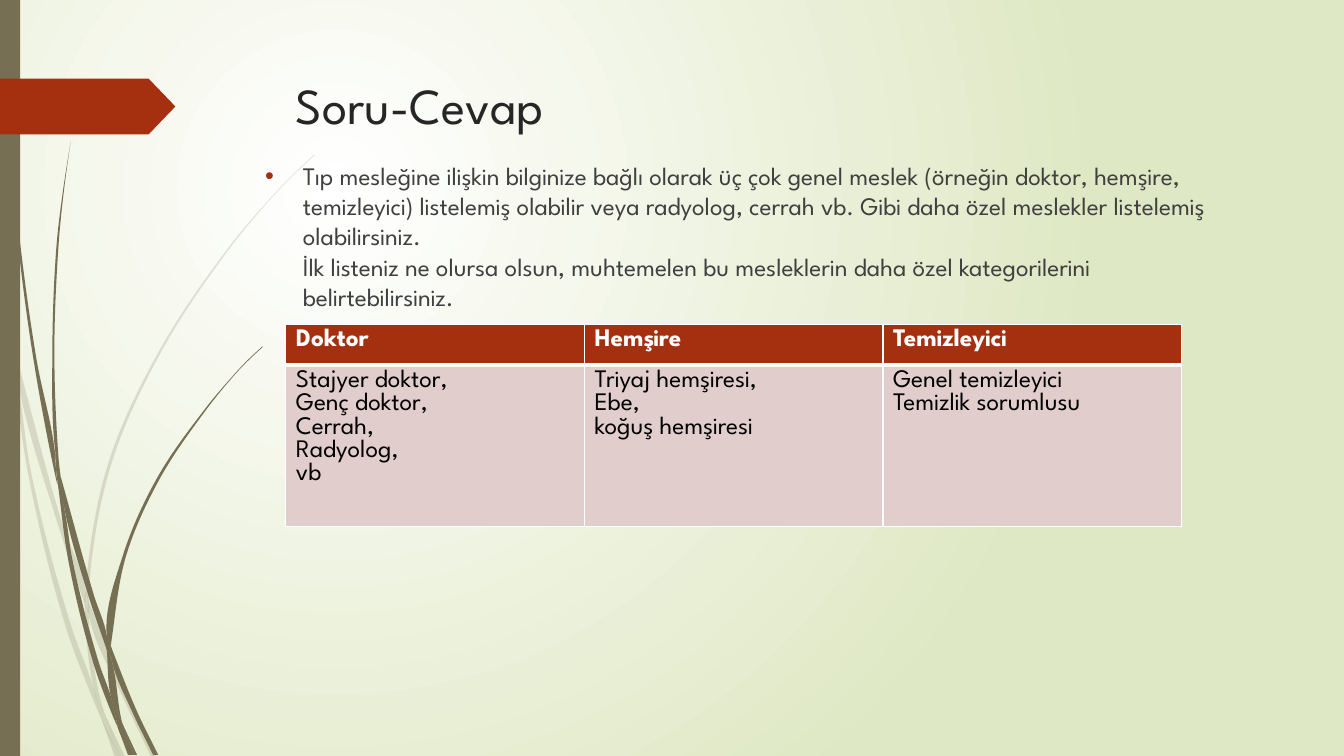
from math import dist

from lxml import etree
from pptx import Presentation
from pptx.dml.color import RGBColor
from pptx.enum.lang import MSO_LANGUAGE_ID
from pptx.enum.shapes import MSO_SHAPE
from pptx.enum.text import MSO_ANCHOR, MSO_AUTO_SIZE, PP_ALIGN
from pptx.oxml.ns import qn
from pptx.util import Pt

RECTANGLE, PENTAGON = MSO_SHAPE.RECTANGLE, MSO_SHAPE.PENTAGON
TOP, LEFT, NO_AUTOFIT = MSO_ANCHOR.TOP, PP_ALIGN.LEFT, MSO_AUTO_SIZE.NONE
TURKISH = MSO_LANGUAGE_ID.TURKISH

FONT = "League Spartan"
OLIVE, RUST, PINK, WHITE, BLACK = "766F54", "A53010", "E1CDCC", "FFFFFF", "000000"
SLIDE_WIDTH, SLIDE_HEIGHT = 960, 540

TITLE = "Soru-Cevap"
BODY = [
    "Tıp mesleğine ilişkin bilginize bağlı olarak üç çok genel meslek (örneğin doktor, hemşire, "
    "temizleyici) listelemiş olabilir veya radyolog, cerrah vb. Gibi daha özel meslekler listelemiş "
    "olabilirsiniz.",
    "İlk listeniz ne olursa olsun, muhtemelen bu mesleklerin daha özel kategorilerini belirtebilirsiniz.",
]
JOBS = {
    "Doktor": ["Stajyer doktor,", "Genç doktor,", "Cerrah,", "Radyolog,", "vb"],
    "Hemşire": ["Triyaj hemşiresi,", "Ebe,", "koğuş hemşiresi"],
    "Temizleyici": ["Genel temizleyici", "Temizlik sorumlusu"],
}
TABLE_LEFT, TABLE_TOP, COLUMN_WIDTH = 204.2, 231.5, 213.3
ROW_HEIGHTS = [29.2, 29.2]

# Corner and curve points of the grass, in steps of GRASS_UNIT points.
GRASS_UNIT = 0.72
PALE_GRASS = [
    [(11, 350), (9, 322), (0, 282), (0, 299), (10, 344)],
    [(58, 522), (84, 599), (85, 586), (62, 520), (14, 345), (17, 376)],
    [(92, 607), (88, 596), (88, 610), (123, 694), (150, 751), (155, 751), (127, 692)],
    [(119, 751), (124, 751), (105, 711)],
    [(93, 683), (70, 619), (31, 469), (17, 376), (11, 350), (28, 470), (65, 621), (92, 693),
     (101, 714), (99, 707)],
    [(84, 599), (87, 646), (93, 683), (96, 692), (105, 711), (103, 706), (91, 646), (88, 610), (88, 608)],
    [(88, 584), (110, 462), (160, 349), (229, 245), (268, 198), (290, 175), (312, 154), (312, 153),
     (289, 175), (268, 197), (228, 244), (158, 348), (107, 461), (85, 584), (85, 586), (88, 596)],
    [(101, 714), (114, 751), (119, 751)],
    [(88, 608), (88, 610), (88, 596), (85, 586), (84, 599)],
    [(96, 692), (93, 683), (99, 707), (101, 714), (119, 751), (105, 711)],
]
DARK_GRASS = [
    [(7, 110), (17, 233), (33, 355), (56, 477), (57, 481), (55, 457), (55, 453), (36, 355), (19, 232),
     (8, 109), (5, 48), (4, 0), (3, 0), (4, 48)],
    [(88, 592), (106, 645), (106, 633), (106, 631), (93, 590), (60, 472), (64, 505)],
    [(113, 649), (110, 641), (111, 656), (132, 708), (152, 749), (157, 749), (136, 706)],
    [(110, 691), (98, 657), (72, 556), (64, 505), (57, 477), (68, 557), (93, 659), (111, 708),
     (117, 722), (116, 717)],
    [(60, 472), (58, 453), (54, 349), (58, 245), (63, 193), (70, 141), (62, 193), (56, 245), (52, 349),
     (55, 449)],
    [(133, 749), (136, 749), (122, 719)],
    [(57, 477), (64, 505), (60, 472), (55, 449), (55, 453)],
    [(111, 633), (125, 552), (158, 476), (205, 406), (231, 374), (245, 359), (261, 344), (260, 344),
     (245, 358), (231, 373), (204, 405), (156, 474), (122, 551), (106, 631), (110, 641)],
    [(117, 722), (127, 749), (131, 749)],
    [(106, 645), (110, 691), (116, 706), (122, 719), (121, 716), (111, 656), (109, 651)],
    [(106, 645), (109, 651), (111, 656), (110, 641), (106, 631), (106, 633)],
    [(116, 706), (110, 691), (116, 717), (117, 722), (130, 749), (133, 749), (122, 719)],
]


def color(hex_string):
    return RGBColor.from_string(hex_string)


def paint(shape, hex_string, opacity=100):
    shape.shadow.inherit = False
    shape.fill.solid()
    shape.fill.fore_color.rgb = color(hex_string)
    shape.line.fill.background()
    if opacity < 100:
        tone = shape.fill._xPr.find(".//" + qn("a:srgbClr"))
        etree.SubElement(tone, qn("a:alpha"), val=str(opacity * 1000))


def tangent(before, point, after):
    """Return the unit direction of the curve at a point, or None at a sharp corner."""
    arriving = [(b - a) / dist(before, point) for a, b in zip(before, point)]
    leaving = [(b - a) / dist(point, after) for a, b in zip(point, after)]
    if arriving[0] * leaving[0] + arriving[1] * leaving[1] < 0.8:
        return None
    total = [a + b for a, b in zip(arriving, leaving)]
    return [part / dist((0, 0), total) for part in total]


def handle(start, end, direction, sign):
    """Return a Bézier handle a third of the segment away from its start."""
    reach = dist(start, end) / 3
    if direction is None:
        return tuple(a + (b - a) / 3 for a, b in zip(start, end))
    return tuple(a + sign * reach * part for a, part in zip(start, direction))


def draw_grass(slide, points, opacity):
    count = len(points)
    tangents = [tangent(points[i - 1], points[i], points[(i + 1) % count]) for i in range(count)]
    outline = [points[0]]
    for i, start in enumerate(points):
        j = (i + 1) % count
        end = points[j]
        outline += [handle(start, end, tangents[i], 1), handle(end, start, tangents[j], -1), end]
    unit = Pt(GRASS_UNIT)
    outline = [(round(x * unit), round(y * unit)) for x, y in outline]
    builder = slide.shapes.build_freeform(*outline[0], scale=1.0)
    builder.add_line_segments(outline[1:], close=True)
    shape = builder.convert_to_shape()
    segments = list(shape._element.iter(qn("a:lnTo")))
    for first in range(0, len(segments) - 2, 3):
        curve = etree.Element(qn("a:cubicBezTo"))
        segments[first].addprevious(curve)
        for segment in segments[first:first + 3]:
            curve.append(segment[0])
            segment.getparent().remove(segment)
    paint(shape, OLIVE, opacity)


def place(shape, left, top, width, height):
    shape.left, shape.top, shape.width, shape.height = map(Pt, (left, top, width, height))


def write(frame, lines, size, hex_string, bold=False):
    """Write the lines as one paragraph with line breaks."""
    frame.word_wrap = True
    paragraph = frame.paragraphs[0]
    paragraph.alignment = LEFT
    for number, line in enumerate(lines):
        if number:
            paragraph.add_line_break()
        run = paragraph.add_run()
        run.text = line
        font = run.font
        font.name, font.size, font.bold, font.language_id = FONT, Pt(size), bold, TURKISH
        font.color.rgb = color(hex_string)
    for line_break in paragraph._p.findall(qn("a:br")):
        properties = etree.SubElement(line_break, qn("a:rPr"), lang="tr-TR", sz=str(size * 100))
        etree.SubElement(properties, qn("a:latin"), typeface=FONT)
    return paragraph


def add_bullet(paragraph, indent):
    properties = paragraph._p.get_or_add_pPr()
    properties.set("marL", str(Pt(indent)))
    properties.set("indent", str(-Pt(indent)))
    bullet_color = etree.SubElement(properties, qn("a:buClr"))
    etree.SubElement(bullet_color, qn("a:srgbClr"), val=RUST)
    etree.SubElement(properties, qn("a:buFont"), typeface="Arial")
    etree.SubElement(properties, qn("a:buChar"), char="•")


def style_cell(cell, fill, bottom_width):
    properties = cell._tc.get_or_add_tcPr()
    for side, width in (("L", 1), ("R", 1), ("T", 1), ("B", bottom_width)):
        border = etree.SubElement(properties, qn("a:ln" + side), w=str(Pt(width)))
        border_fill = etree.SubElement(border, qn("a:solidFill"))
        etree.SubElement(border_fill, qn("a:srgbClr"), val=WHITE)
    cell.fill.solid()
    cell.fill.fore_color.rgb = color(fill)


def set_background(slide):
    fill = slide.background.fill
    fill.gradient()
    for stop, tone in zip(fill.gradient_stops, (WHITE, "DFE8C4")):
        stop.color.rgb = color(tone)
    gradient = slide.element.find(".//" + qn("a:gradFill"))
    gradient.remove(gradient.find(qn("a:lin")))
    circle = etree.SubElement(gradient, qn("a:path"), path="circle")
    etree.SubElement(circle, qn("a:fillToRect"), l="50000", t="50000", r="100000", b="100000")


def add_jobs_table(slide):
    table = slide.shapes.add_table(
        2, len(JOBS), Pt(TABLE_LEFT), Pt(TABLE_TOP),
        Pt(COLUMN_WIDTH * len(JOBS)), Pt(sum(ROW_HEIGHTS))).table
    table.horz_banding = False
    for row, height in zip(table.rows, ROW_HEIGHTS):
        row.height = Pt(height)
    for index, (job, kinds) in enumerate(JOBS.items()):
        table.columns[index].width = Pt(COLUMN_WIDTH)
        header, details = table.cell(0, index), table.cell(1, index)
        write(header.text_frame, [job], 18, WHITE, bold=True)
        write(details.text_frame, kinds, 18, BLACK)
        style_cell(header, RUST, 3)
        style_cell(details, PINK, 1)


def main():
    presentation = Presentation()
    presentation.slide_width, presentation.slide_height = Pt(SLIDE_WIDTH), Pt(SLIDE_HEIGHT)
    slide = presentation.slides.add_slide(presentation.slide_layouts[5])
    set_background(slide)
    for grass, opacity in ((PALE_GRASS, 20), (DARK_GRASS, 100)):
        for points in grass:
            draw_grass(slide, points, opacity)
    paint(slide.shapes.add_shape(RECTANGLE, 0, 0, Pt(14.4), Pt(SLIDE_HEIGHT)), OLIVE)
    arrow = slide.shapes.add_shape(PENTAGON, 0, Pt(56.2), Pt(125.3), Pt(39.8))
    arrow.adjustments[0] = 0.48
    paint(arrow, RUST)
    title = slide.shapes.title
    place(title, 204.2, 49, 702, 100.8)
    title.text_frame.auto_size = NO_AUTOFIT
    title.text_frame.vertical_anchor = TOP
    write(title.text_frame, [TITLE], 36, "262626")
    body = slide.shapes.add_textbox(Pt(182.2), Pt(110.9), Pt(702), Pt(121))
    add_bullet(write(body.text_frame, BODY, 18, "404040"), 27)
    add_jobs_table(slide)
    presentation.save("out.pptx")


if __name__ == "__main__":
    main()
